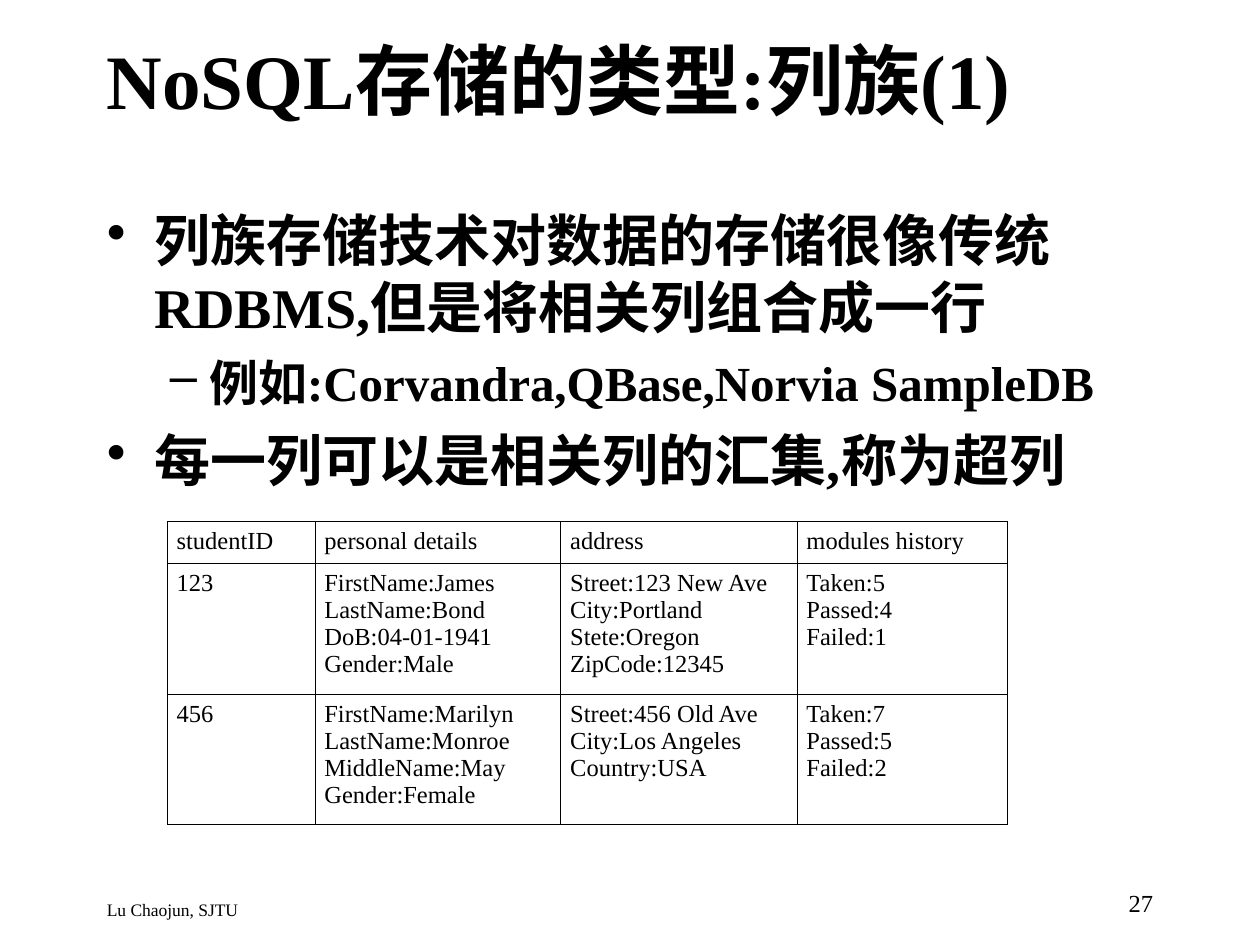
"""Build a slide on column family storage, with bullets and a sample table."""
from lxml import etree
from pptx import Presentation
from pptx.dml.color import RGBColor
from pptx.enum.text import MSO_ANCHOR, PP_ALIGN
from pptx.oxml.ns import qn
from pptx.util import Pt

LEFT, RIGHT, JUSTIFY = PP_ALIGN.LEFT, PP_ALIGN.RIGHT, PP_ALIGN.JUSTIFY
TOP, MIDDLE = MSO_ANCHOR.TOP, MSO_ANCHOR.MIDDLE
FONT, BLACK, WHITE = "Times New Roman", "000000", "FFFFFF"

TITLE = "NoSQL存储的类型:列族(1)"
BULLETS = [
    (0, "列族存储技术对数据的存储很像传统RDBMS,但是将相关列组合成一行"),
    (1, "例如:Corvandra,QBase,Norvia SampleDB"),
    (0, "每一列可以是相关列的汇集,称为超列"),
]
LEVELS = [
    {"mark": "•", "size": 32, "margin": 27, "hang": 27, "before": 8},
    {"mark": "–", "size": 28, "margin": 58.5, "hang": 22.5, "before": 7},
]
FOOTER = "Lu Chaojun, SJTU"
NUMBER = "27"
STUDENTS = [
    [["studentID"], ["personal details"], ["address"], ["modules history"]],
    [["123"],
     ["FirstName:James", "LastName:Bond", "DoB:04-01-1941", "Gender:Male"],
     ["Street:123 New Ave", "City:Portland", "Stete:Oregon", "ZipCode:12345"],
     ["Taken:5", "Passed:4", "Failed:1"]],
    [["456"],
     ["FirstName:Marilyn", "LastName:Monroe", "MiddleName:May", "Gender:Female"],
     ["Street:456 Old Ave", "City:Los Angeles", "Country:USA"],
     ["Taken:7", "Passed:5", "Failed:2"]],
]
COLUMN_WIDTHS = [84.5, 140.5, 135, 120]
ROW_HEIGHTS = [16.8, 67.2, 67.2]


def color(value):
    return RGBColor.from_string(value)


def write(frame, lines, size, bold=False, align=LEFT):
    for index, line in enumerate(lines):
        para = frame.paragraphs[0] if index == 0 else frame.add_paragraph()
        para.alignment = align
        span = para.add_run()
        span.text = line
        span.font.name = FONT
        span.font.size = Pt(size)
        span.font.bold = bold
        span.font.color.rgb = color(BLACK)


def add_box(page, place, anchor=TOP):
    frame = page.shapes.add_textbox(*map(Pt, place)).text_frame
    frame.word_wrap = True
    frame.vertical_anchor = anchor
    return frame


def add_bullets(page, place):
    frame = add_box(page, place)
    write(frame, [line for _, line in BULLETS], LEVELS[0]["size"], bold=True)
    for para, (level, _) in zip(frame.paragraphs, BULLETS):
        style = LEVELS[level]
        para.level = level
        para.space_before = Pt(style["before"])
        para.runs[0].font.size = Pt(style["size"])
        properties = para._p.get_or_add_pPr()
        properties.set("marL", str(Pt(style["margin"])))
        properties.set("indent", str(-Pt(style["hang"])))
        etree.SubElement(properties, qn("a:buChar")).set("char", style["mark"])


def add_borders(cell):
    properties = cell._tc.get_or_add_tcPr()
    for position, side in enumerate(("lnL", "lnR", "lnT", "lnB")):
        line = etree.Element(qn(f"a:{side}"), w=str(Pt(0.45)))
        fill = etree.SubElement(line, qn("a:solidFill"))
        etree.SubElement(fill, qn("a:srgbClr")).set("val", BLACK)
        properties.insert(position, line)


def add_student_table(page, left, top):
    table = page.shapes.add_table(
        len(ROW_HEIGHTS), len(COLUMN_WIDTHS), Pt(left), Pt(top),
        Pt(sum(COLUMN_WIDTHS)), Pt(sum(ROW_HEIGHTS))).table
    table.first_row = table.horz_banding = False
    for column, width in zip(table.columns, COLUMN_WIDTHS):
        column.width = Pt(width)
    for row, height, values in zip(table.rows, ROW_HEIGHTS, STUDENTS):
        row.height = Pt(height)
        for cell, lines in zip(row.cells, values):
            cell.margin_left = cell.margin_right = Pt(5.4)
            cell.margin_top = cell.margin_bottom = Pt(3.6)
            cell.fill.background()
            write(cell.text_frame, lines, 14, align=JUSTIFY)
            add_borders(cell)


def main():
    deck = Presentation()
    deck.slide_width, deck.slide_height = Pt(720), Pt(540)
    page = deck.slides.add_slide(deck.slide_layouts[6])
    page.background.fill.solid()
    page.background.fill.fore_color.rgb = color(WHITE)
    write(add_box(page, (54, 0, 612, 90), MIDDLE), [TITLE], 44, bold=True)
    add_bullets(page, (54, 114, 612, 366))
    write(add_box(page, (54, 510, 418, 18)), [FOOTER], 10)
    write(add_box(page, (516, 504, 150, 24)), [NUMBER], 14, align=RIGHT)
    add_student_table(page, 95.5, 298)
    deck.save("out.pptx")


if __name__ == "__main__":
    main()
